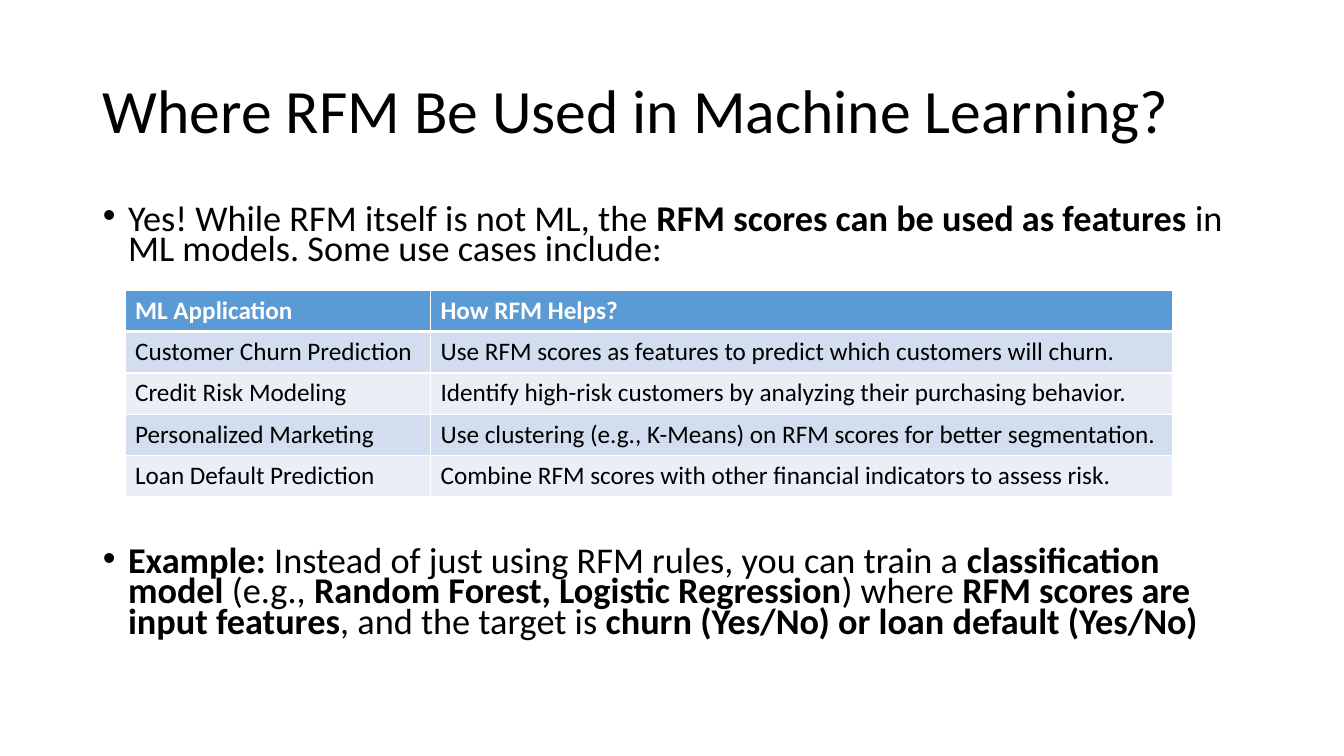
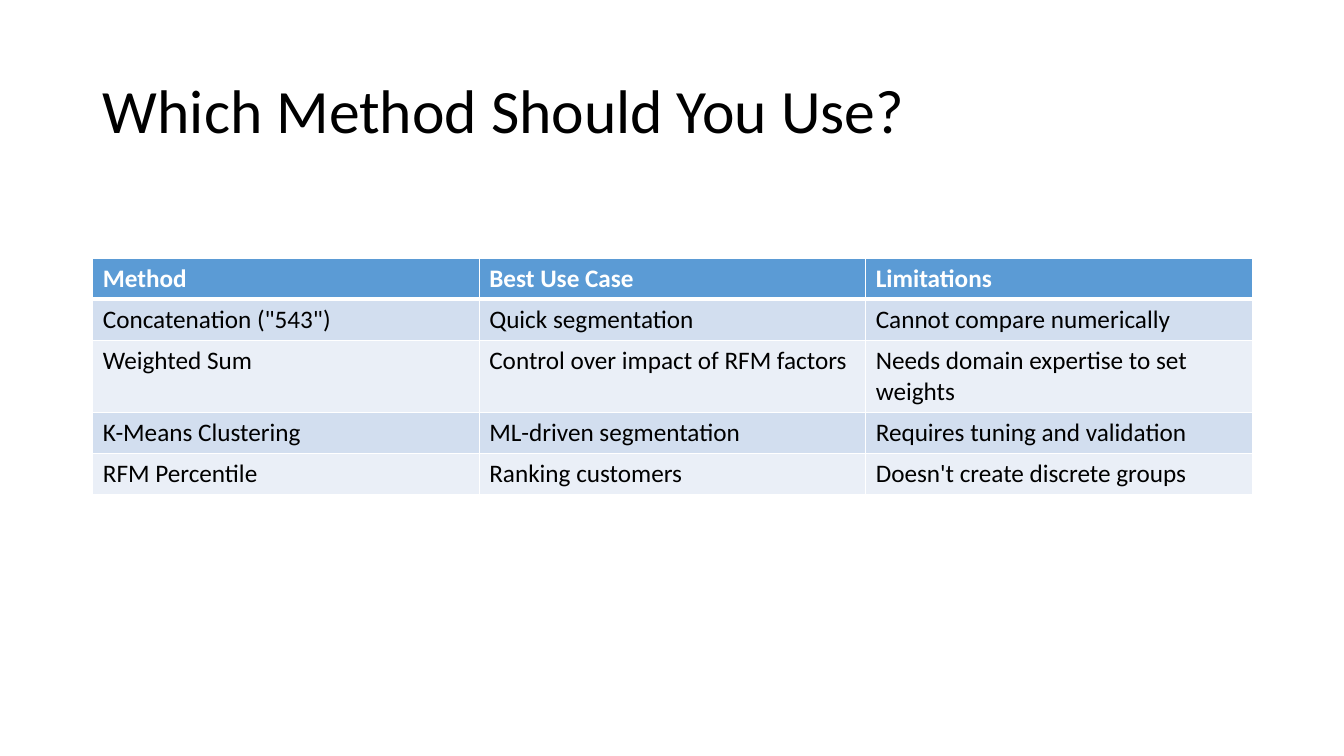
from pptx import Presentation, util as u
from pptx.dml.color import RGBColor
from pptx.enum import text
from pptx.oxml import parse_xml
from pptx.oxml.ns import nsdecls

W, H = 13.33, 7.5
LEFT, WIDTH = 0.92, 11.5
FONT = "Calibri"
WHITE, BLACK, HEADER = "FFFFFF", "000000", "5B9BD5"
BANDS = ["D2DEEF", "EAEFF7"]
ROW = 0.41

INTRO = [
    ("Yes! While RFM itself is not ML, the ", False),
    ("RFM scores can be used as features", True),
    (" in ML models. Some use cases include:", False),
]
EXAMPLE = [
    ("Example:", True),
    (" Instead of just using RFM rules, you can train a ", False),
    ("classification model", True),
    (" (e.g., ", False),
    ("Random Forest, Logistic Regression", True),
    (") where ", False),
    ("RFM scores are input features", True),
    (", and the target is ", False),
    ("churn (Yes/No) or loan default (Yes/No)", True),
]
USES = [
    ("ML Application", "How RFM Helps?"),
    ("Customer Churn Prediction",
     "Use RFM scores as features to predict which customers will churn."),
    ("Credit Risk Modeling",
     "Identify high-risk customers by analyzing their purchasing behavior."),
    ("Personalized Marketing",
     "Use clustering (e.g., K-Means) on RFM scores for better segmentation."),
    ("Loan Default Prediction",
     "Combine RFM scores with other financial indicators to assess risk."),
]
METHODS = [
    ("Method", "Best Use Case", "Limitations"),
    ('Concatenation ("543")', "Quick segmentation", "Cannot compare numerically"),
    ("Weighted Sum", "Control over impact of RFM factors",
     "Needs domain expertise to set weights"),
    ("K-Means Clustering", "ML-driven segmentation", "Requires tuning and validation"),
    ("RFM Percentile", "Ranking customers", "Doesn't create discrete groups"),
]


def rgb(color):
    return RGBColor.from_string(color)


def set_font(p, size, color=BLACK, bold=None):
    f = p.font
    f.name, f.size, f.bold = FONT, u.Pt(size), bold
    f.color.rgb = rgb(color)


def place(sp, x, y, w, h):
    sp.left, sp.top, sp.width, sp.height = (u.Inches(v) for v in (x, y, w, h))


def add_slide(prs, layout, title):
    s = prs.slides.add_slide(prs.slide_layouts.get_by_name(layout))
    sp = s.shapes.title
    place(sp, LEFT, 0.4, WIDTH, 1.45)
    tf = sp.text_frame
    tf.text = title
    tf.auto_size = text.MSO_AUTO_SIZE.NONE
    tf.vertical_anchor = text.MSO_ANCHOR.MIDDLE
    p = tf.paragraphs[0]
    p.alignment, p.line_spacing = text.PP_ALIGN.LEFT, 0.9
    set_font(p, 44)
    return s


def fill_body(sp, box, items):
    place(sp, *box)
    tf = sp.text_frame
    tf.auto_size = text.MSO_AUTO_SIZE.NONE
    for i, (space, runs) in enumerate(items):
        p = tf.add_paragraph() if i else tf.paragraphs[0]
        p.line_spacing, p.space_before = 0.7, u.Pt(space)
        set_font(p, 25.9)
        pPr = p._p.get_or_add_pPr()
        pPr.set("marL", str(u.Inches(0.25)))
        pPr.set("indent", str(u.Inches(-0.25)))
        for words, bold in runs:
            r = p.add_run()
            r.text, r.font.bold = words, bold


def set_borders(cell, top, bottom):
    tcPr = cell._tc.get_or_add_tcPr()
    sides = [("L", 1), ("R", 1), ("T", top), ("B", bottom)]
    for i, (side, width) in enumerate(sides):
        tcPr.insert(i, parse_xml(
            f'<a:ln{side} {nsdecls("a")} w="{u.Pt(width)}"><a:solidFill>'
            f'<a:srgbClr val="{WHITE}"/></a:solidFill></a:ln{side}>'))


def add_grid(s, x, y, widths, rows):
    box = (u.Inches(v) for v in (x, y, sum(widths), ROW * len(rows)))
    table = s.shapes.add_table(len(rows), len(widths), *box).table
    for col, width in zip(table.columns, widths):
        col.width = u.Inches(width)
    for i, row in enumerate(rows):
        head = i == 0
        for j, words in enumerate(row):
            cell = table.cell(i, j)
            cell.text = words
            set_font(cell.text_frame.paragraphs[0], 18, WHITE if head else BLACK, head)
            cell.fill.solid()
            cell.fill.fore_color.rgb = rgb(HEADER if head else BANDS[(i - 1) % 2])
            set_borders(cell, 3 if i == 1 else 1, 3 if head else 1)


def main():
    prs = Presentation()
    prs.slide_width, prs.slide_height = u.Inches(W), u.Inches(H)

    s = add_slide(prs, "Title and Content", "Where RFM Be Used in Machine Learning?")
    fill_body(s.placeholders[1], (LEFT, 2, WIDTH, 4.76), [(10, INTRO), (201, EXAMPLE)])
    add_grid(s, 1.24, 2.88, [3.03, 7.36], USES)

    s = add_slide(prs, "Title Only", "Which Method Should You Use?")
    add_grid(s, LEFT, 2.56, [WIDTH / 3] * 3, METHODS)

    prs.save("out.pptx")


if __name__ == "__main__":
    main()
